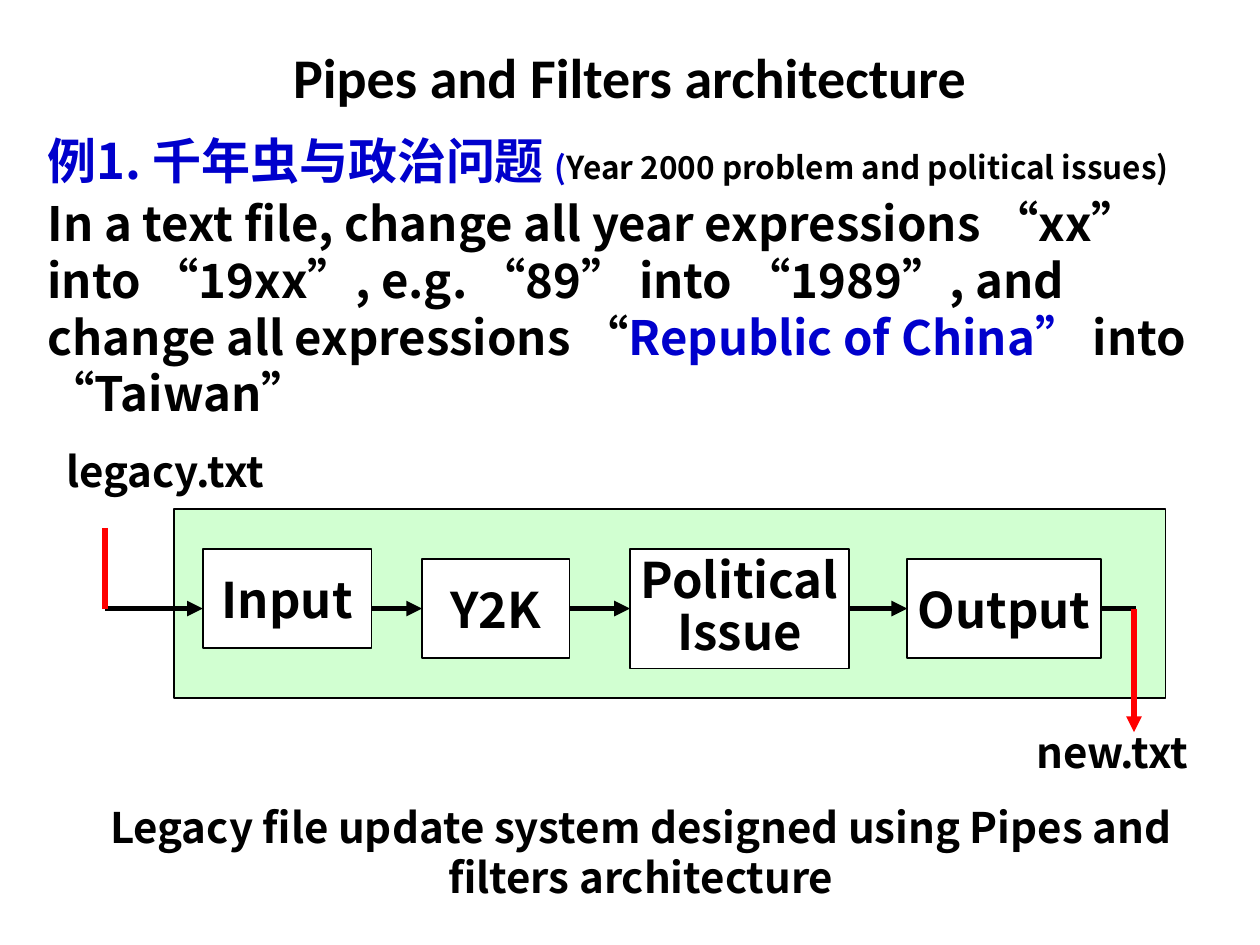
from dataclasses import dataclass
from typing import Optional

from lxml import etree
from pptx import Presentation
from pptx.dml.color import RGBColor
from pptx.enum.shapes import MSO_CONNECTOR, MSO_SHAPE
from pptx.enum.text import MSO_ANCHOR, PP_ALIGN
from pptx.oxml.ns import qn
from pptx.util import Inches, Pt

LEFT, CENTER = PP_ALIGN.LEFT, PP_ALIGN.CENTER
TOP, MIDDLE = MSO_ANCHOR.TOP, MSO_ANCHOR.MIDDLE
RECTANGLE, STRAIGHT = MSO_SHAPE.RECTANGLE, MSO_CONNECTOR.STRAIGHT
LEFT_SIDE, RIGHT_SIDE = 1, 3

COLORS = {"ink": "000000", "accent": "0000CC", "paper": "FFFFFF",
          "system": "00FF00", "file": "FF0000"}
BODY_FONT, TITLE_FONT = "Noto Sans CJK SC", "Calibri"

# The slide is a grid of 100 columns by 75 rows of square cells.
COLUMNS, ROWS = 100, 75
SLIDE_WIDTH, SLIDE_HEIGHT = Inches(10), Inches(7.5)
PIPE_ROW = 48.3


@dataclass(frozen=True)
class Span:
    text: str
    size: float
    color: str = "ink"
    font: str = BODY_FONT


@dataclass(frozen=True)
class TextBlock:
    left: float
    top: float
    width: float
    height: float
    paragraphs: list[list[Span]]
    align: PP_ALIGN = LEFT
    space_before: float = 0


@dataclass(frozen=True)
class Filter:
    left: float
    width: float
    height: float
    lines: list[str]
    raised: float = 0
    line_spacing: float = 1.0

    @property
    def top(self) -> float:
        return PIPE_ROW - self.height / 2 - self.raised

    @property
    def right(self) -> float:
        return self.left + self.width


@dataclass(frozen=True)
class Pipe:
    start: tuple[float, float]
    end: tuple[float, float]
    color: str = "ink"
    weight: float = 3
    arrow: bool = True
    source: Optional[str] = None
    target: Optional[str] = None


FILTERS = {
    "input": Filter(16.1, 13.4, 7.9, ["Input"], raised=0.8),
    "y2k": Filter(33.5, 11.7, 7.9, ["Y2K"]),
    "political": Filter(50, 17.4, 9.5, ["Political", "Issue"], line_spacing=0.9),
    "output": Filter(72, 15.4, 7.9, ["Output"]),
}
LEGACY_COLUMN, NEW_COLUMN = 8.3, 90


def pipe_between(source: str, target: str) -> Pipe:
    return Pipe((FILTERS[source].right, PIPE_ROW), (FILTERS[target].left, PIPE_ROW),
                source=source, target=target)


PIPES = [
    Pipe((LEGACY_COLUMN, PIPE_ROW), (FILTERS["input"].left, PIPE_ROW), target="input"),
    *(pipe_between(a, b) for a, b in zip(list(FILTERS), list(FILTERS)[1:])),
    Pipe((FILTERS["output"].right, PIPE_ROW), (NEW_COLUMN + 0.2, PIPE_ROW),
         arrow=False, source="output"),
    Pipe((LEGACY_COLUMN, 41.9), (LEGACY_COLUMN, PIPE_ROW), "file", 3.5, arrow=False),
    Pipe((NEW_COLUMN, PIPE_ROW), (NEW_COLUMN, 58.1), "file"),
]

TEXT_BLOCKS = [
    TextBlock(5, 2.9, 90, 5.5,
              [[Span("Pipes and Filters architecture", 32, font=TITLE_FONT)]], CENTER),
    TextBlock(2.8, 9.9, 94.9, 24.4, [
        [Span("例1. 千年虫与政治问题 ", 28, "accent"), Span("(", 18, "accent"),
         Span("Year 2000 problem and political issues)", 18)],
        [Span("In a text file, change all year expressions “xx” into “19xx”, "
              "e.g. “89” into “1989”, and change all expressions “", 27),
         Span("Republic of China”", 27, "accent"), Span(" into “Taiwan”", 27)],
    ], space_before=2.7),
    TextBlock(4.3, 34.9, 18.9, 5, [[Span("legacy.txt", 24)]]),
    TextBlock(81.3, 57.2, 17.5, 5, [[Span("new.txt", 24)]]),
    TextBlock(6.7, 63.1, 88.3, 9.1, [[Span(
        "Legacy file update system designed using Pipes and filters architecture",
        24)]], CENTER),
]


def col(value: float) -> int:
    return round(SLIDE_WIDTH * value / COLUMNS)


def row(value: float) -> int:
    return round(SLIDE_HEIGHT * value / ROWS)


def rgb(name: str) -> RGBColor:
    return RGBColor.from_string(COLORS[name])


def write_paragraph(paragraph, spans: list[Span], paragraph_format: dict) -> None:
    for attribute, value in paragraph_format.items():
        setattr(paragraph, attribute, value)
    for span in spans:
        run = paragraph.add_run()
        run.text = span.text
        run_format = {"size": Pt(span.size), "bold": True, "name": span.font}
        for attribute, value in run_format.items():
            setattr(run.font, attribute, value)
        run.font.color.rgb = rgb(span.color)
        etree.SubElement(run.font._element, qn("a:ea"), typeface=span.font)


def write_paragraphs(frame, paragraphs: list[list[Span]], align: PP_ALIGN,
                     space_before: float = 0, line_spacing: float = 1.0) -> None:
    for index, spans in enumerate(paragraphs):
        paragraph = frame.add_paragraph() if index else frame.paragraphs[0]
        write_paragraph(paragraph, spans, {
            "alignment": align, "line_spacing": line_spacing,
            "space_before": Pt(space_before if index else 0)})


def add_text_block(slide, block: TextBlock) -> None:
    box = slide.shapes.add_textbox(col(block.left), row(block.top),
                                   col(block.width), row(block.height))
    box.text_frame.word_wrap = True
    box.text_frame.vertical_anchor = TOP
    write_paragraphs(box.text_frame, block.paragraphs, block.align, block.space_before)


def add_rectangle(slide, left: float, top: float, width: float, height: float,
                  fill: str):
    shape = slide.shapes.add_shape(RECTANGLE, col(left), row(top),
                                   col(width), row(height))
    shape.shadow.inherit = False
    shape.fill.solid()
    shape.fill.fore_color.rgb = rgb(fill)
    shape.line.color.rgb = rgb("ink")
    shape.line.width = Pt(1)
    return shape


def add_system_area(slide) -> None:
    area = add_rectangle(slide, 13.8, 40.4, 78.7, 15, "system")
    fill_color = area._element.spPr.find(qn("a:solidFill"))[0]
    etree.SubElement(fill_color, qn("a:alpha"), val="18000")


def add_filter(slide, item: Filter):
    shape = add_rectangle(slide, item.left, item.top, item.width, item.height, "paper")
    shape.text_frame.word_wrap = False
    shape.text_frame.vertical_anchor = MIDDLE
    write_paragraphs(shape.text_frame, [[Span(line, 28)] for line in item.lines],
                     CENTER, line_spacing=item.line_spacing)
    return shape


def add_pipe(slide, pipe: Pipe, filter_shapes: dict) -> None:
    """Draw a pipe, joining it to filters whose side middle lies on the pipe row."""
    line = slide.shapes.add_connector(STRAIGHT, col(pipe.start[0]), row(pipe.start[1]),
                                      col(pipe.end[0]), row(pipe.end[1]))
    line.line.color.rgb = rgb(pipe.color)
    line.line.width = Pt(pipe.weight)
    if pipe.arrow:
        etree.SubElement(line.line._get_or_add_ln(), qn("a:tailEnd"), type="triangle")
    etree.SubElement(line._element.spPr, qn("a:effectLst"))
    if pipe.source and not FILTERS[pipe.source].raised:
        line.begin_connect(filter_shapes[pipe.source], RIGHT_SIDE)
    if pipe.target and not FILTERS[pipe.target].raised:
        line.end_connect(filter_shapes[pipe.target], LEFT_SIDE)


def main() -> None:
    deck = Presentation()
    deck.slide_width, deck.slide_height = SLIDE_WIDTH, SLIDE_HEIGHT
    slide = deck.slides.add_slide(deck.slide_layouts[6])
    add_system_area(slide)
    filter_shapes = {key: add_filter(slide, item) for key, item in FILTERS.items()}
    for pipe in PIPES:
        add_pipe(slide, pipe, filter_shapes)
    for block in TEXT_BLOCKS:
        add_text_block(slide, block)
    deck.save("out.pptx")


if __name__ == "__main__":
    main()
